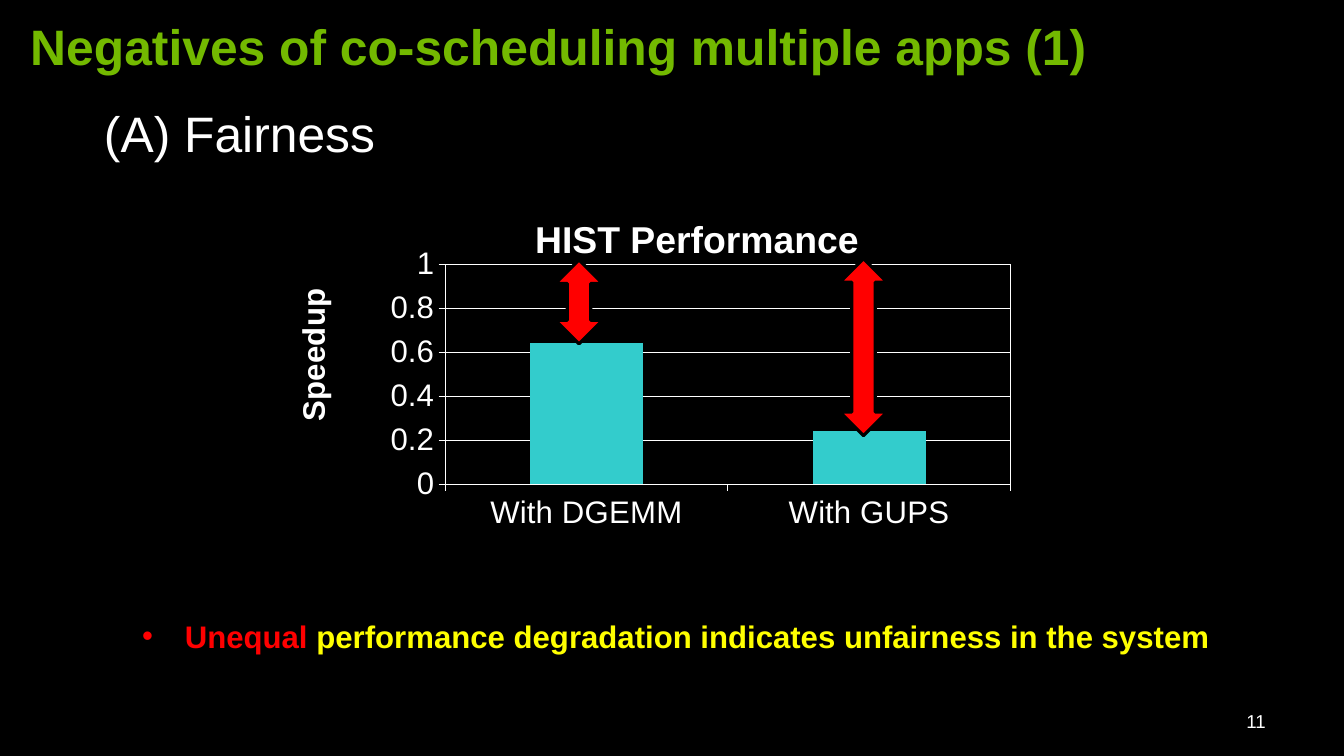
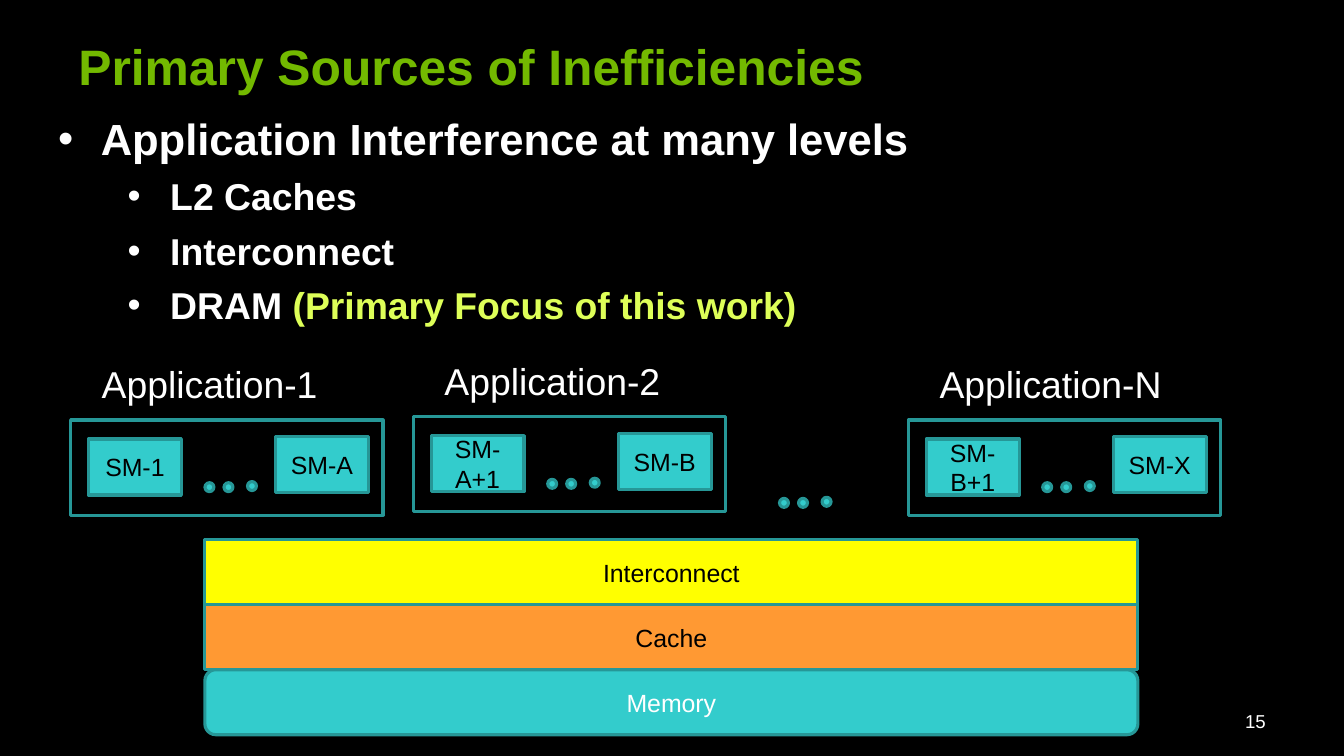
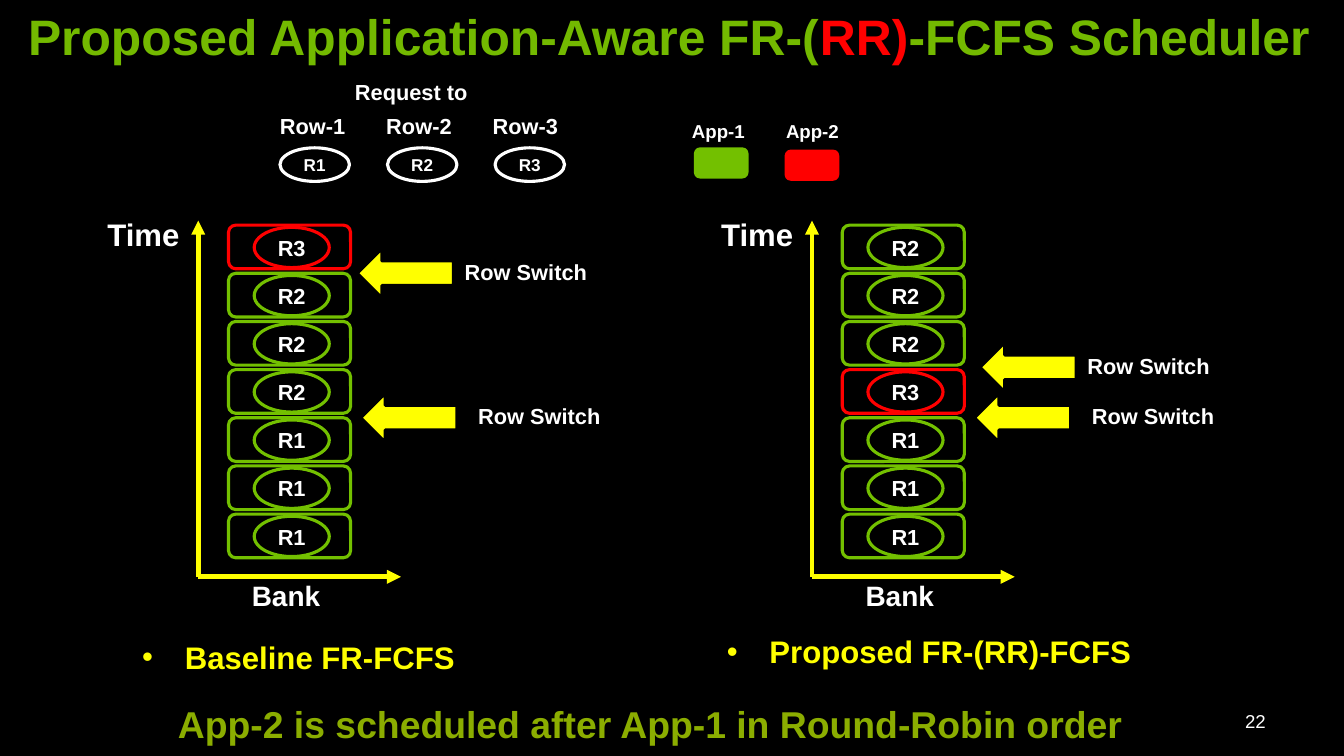
from lxml.etree import SubElement
from pptx import Presentation
from pptx.chart.data import CategoryChartData
from pptx.dml.color import RGBColor
from pptx.enum.chart import XL_CHART_TYPE, XL_TICK_MARK
from pptx.enum.shapes import MSO_CONNECTOR, MSO_SHAPE
from pptx.enum.text import MSO_ANCHOR, MSO_AUTO_SIZE, PP_ALIGN
from pptx.oxml.ns import qn
from pptx.util import Inches, Pt

# Shared style
FONT = "Arial"
BLACK, WHITE, RED, YELLOW = "000000", "FFFFFF", "FF0000", "FFFF00"
TITLE_GREEN, APP_GREEN, OLIVE, LIME = "73B900", "73C000", "8BAD00", "DEFF58"
TEAL, DARK_TEAL, ORANGE = "33CCCC", "269797", "FF9933"
TITLE_SIZE = 32
TITLE_AND_BODY, TWO_BODIES = 1, 3


def rgb(color):
    return RGBColor.from_string(color)


def paint(fill, color):
    if color:
        fill.solid()
        fill.fore_color.rgb = rgb(color)
    else:
        fill.background()


def add_runs(paragraph, runs, size, bold=False):
    for text, color in runs:
        run = paragraph.add_run()
        run.text = text
        run.font.name = FONT
        run.font.size = Pt(size)
        run.font.bold = bold
        run.font.color.rgb = rgb(color)


def move(shape, left, top, width, height):
    shape.left, shape.top = Inches(left), Inches(top)
    shape.width, shape.height = Inches(width), Inches(height)


def add_label(slide, box, text, size, color=WHITE, bold=False):
    label = slide.shapes.add_textbox(*map(Inches, box))
    label.text_frame.word_wrap = True
    add_runs(label.text_frame.paragraphs[0], [(text, color)], size, bold)
    return label


def add_figure(slide, preset, box, fill=None, line=DARK_TEAL, text="",
               size=16, color=BLACK, bold=False):
    figure = slide.shapes.add_shape(preset, *map(Inches, box))
    figure.shadow.inherit = False
    paint(figure.fill, fill)
    figure.line.color.rgb = rgb(line)
    figure.line.width = Pt(2)
    if text:
        frame = figure.text_frame
        frame.word_wrap = preset != MSO_SHAPE.OVAL
        frame.vertical_anchor = MSO_ANCHOR.MIDDLE
        frame.paragraphs[0].alignment = PP_ALIGN.CENTER
        add_runs(frame.paragraphs[0], [(text, color)], size, bold)


def add_title(slide, box, runs):
    title = slide.shapes.title
    move(title, *box)
    frame = title.text_frame
    frame.auto_size = MSO_AUTO_SIZE.NONE
    frame.vertical_anchor = MSO_ANCHOR.TOP
    frame.paragraphs[0].alignment = PP_ALIGN.LEFT
    add_runs(frame.paragraphs[0], runs, TITLE_SIZE, bold=True)


def add_bullets(body, box, items):
    """Fill a body placeholder with items of (level, size, runs)."""
    move(body, *box)
    frame = body.text_frame
    frame.auto_size = MSO_AUTO_SIZE.NONE
    frame.vertical_anchor = MSO_ANCHOR.TOP
    for index, (level, size, runs) in enumerate(items):
        paragraph = frame.add_paragraph() if index else frame.paragraphs[0]
        paragraph.level = level
        paragraph.space_before = Pt(round(0.24 * size) if index else 0)
        properties = paragraph._p.get_or_add_pPr()
        properties.set("marL", str(Inches(1 if level else 0.38)))
        properties.set("indent", str(Inches(-0.38)))
        SubElement(properties, qn("a:buFont")).set("typeface", FONT)
        SubElement(properties, qn("a:buChar")).set("char", "•")
        add_runs(paragraph, runs, size, bold=True)


def add_page_number(slide, number):
    label = add_label(slide, (8.6, 6.26, 2.8, 0.36), number, 12)
    label.text_frame.vertical_anchor = MSO_ANCHOR.MIDDLE
    label.text_frame.paragraphs[0].alignment = PP_ALIGN.RIGHT


def new_slide(deck, layout, title_box, title_runs, number):
    slide = deck.slides.add_slide(deck.slide_layouts[layout])
    add_title(slide, title_box, title_runs)
    add_page_number(slide, number)
    return slide


# Slide 11: fairness
def set_layout(element, position, **values):
    """Place a chart part by fractions of the chart's size."""
    for old in element.findall(qn("c:layout")):
        element.remove(old)
    layout = SubElement(element, qn("c:layout"))
    element.insert(position, layout)
    manual = SubElement(layout, qn("c:manualLayout"))
    if "w" in values:
        SubElement(manual, qn("c:layoutTarget")).set("val", "inner")
    for key in ("x", "y"):
        SubElement(manual, qn(f"c:{key}Mode")).set("val", "edge")
    for key, value in values.items():
        SubElement(manual, qn(f"c:{key}")).set("val", str(value))


def performance_chart(slide, box):
    data = CategoryChartData()
    data.categories = ["With DGEMM", "With GUPS"]
    data.add_series("HIST Performance", [0.64, 0.24])
    chart = slide.shapes.add_chart(
        XL_CHART_TYPE.COLUMN_CLUSTERED, *map(Inches, box), data).chart
    chart.has_legend = False
    chart.font.name, chart.font.size = FONT, Pt(20)
    chart.font.color.rgb = rgb(WHITE)

    plot = chart.plots[0]
    plot.gap_width = 150
    plot.vary_by_categories = False
    paint(plot.series[0].format.fill, TEAL)

    speedup, workloads = chart.value_axis, chart.category_axis
    speedup.minimum_scale, speedup.maximum_scale = 0, 1
    speedup.major_unit = 0.2
    speedup.has_major_gridlines = True
    for axis in (speedup, workloads):
        axis.major_tick_mark = XL_TICK_MARK.OUTSIDE
        axis.format.line.color.rgb = rgb(WHITE)
    speedup.major_gridlines.format.line.color.rgb = rgb(WHITE)

    titles = [(chart.chart_title, "HIST Performance", 24, 0.4, 0.09),
              (speedup.axis_title, "Speedup", 20, 0.11, 0.29)]
    for title, text, size, x, y in titles:
        add_runs(title.text_frame.paragraphs[0], [(text, WHITE)], size, True)
        set_layout(title._element, 1, x=x, y=y)
    turned = speedup.axis_title._element.find(".//" + qn("a:bodyPr"))
    turned.set("rot", "-5400000")
    turned.set("vert", "horz")

    # Plot frame
    area = chart._chartSpace.find(".//" + qn("c:plotArea"))
    set_layout(area, 0, x=0.3, y=0.24, w=0.68, h=0.59)
    frame = SubElement(SubElement(area, qn("c:spPr")), qn("a:ln"))
    frame_fill = SubElement(frame, qn("a:solidFill"))
    SubElement(frame_fill, qn("a:srgbClr")).set("val", WHITE)


def fairness_slide(deck):
    slide = new_slide(
        deck, TITLE_AND_BODY, (0.17, 0.09, 10.58, 0.64),
        [("Negatives of co-scheduling multiple apps (1)", TITLE_GREEN)], "11")
    add_bullets(slide.placeholders[1], (1.17, 5.46, 10.33, 0.71), [
        (0, 20, [("Unequal", RED),
                 (" performance degradation indicates unfairness in the system",
                  YELLOW)])])
    add_label(slide, (0.83, 0.87, 5.42, 0.64), "(A) Fairness", 32)
    performance_chart(slide, (1.75, 1.56, 7.42, 3.33))
    for left, top, height in [(7.5, 2.31, 1.58), (4.96, 2.32, 0.75)]:
        add_figure(slide, MSO_SHAPE.UP_DOWN_ARROW, (left, top, 0.42, height),
                   RED, BLACK)


# Slide 15: sources of inefficiency
def ellipsis_dots(slide, left, top):
    for dx, dy in [(0, 0.01), (0.17, 0.01), (0.38, 0)]:
        add_figure(slide, MSO_SHAPE.OVAL, (left + dx, top + dy, 0.08, 0.08), TEAL)


def application_group(slide, left, top, name, first_sm, last_sm):
    for text, dx, dy in [(first_sm, 0.16, 0.17), (last_sm, 1.83, 0.15)]:
        add_figure(slide, MSO_SHAPE.RECTANGLE,
                   (left + dx, top + dy, 0.83, 0.5), TEAL, text=text)
    add_figure(slide, MSO_SHAPE.RECTANGLE, (left, top, 2.79, 0.85))
    add_label(slide, (left + 0.18, top - 0.57, 3.71, 0.5), name, 24)
    ellipsis_dots(slide, left + 1.2, top + 0.55)


def memory_stack(slide, left, top, width):
    layers = [("Interconnect", MSO_SHAPE.RECTANGLE, YELLOW, BLACK),
              ("Cache", MSO_SHAPE.RECTANGLE, ORANGE, BLACK),
              ("Memory", MSO_SHAPE.ROUNDED_RECTANGLE, TEAL, WHITE)]
    height = 0.58
    for row, (text, preset, fill, color) in enumerate(layers):
        add_figure(slide, preset, (left, top + row * height, width, height),
                   fill, text=text, color=color)


def inefficiency_slide(deck):
    slide = new_slide(
        deck, TITLE_AND_BODY, (0.6, 0.27, 10.07, 0.64),
        [("Primary Sources of Inefficiencies", TITLE_GREEN)], "15")
    add_bullets(slide.placeholders[1], (0.42, 0.95, 10.98, 1.8), [
        (0, 28, [("Application Interference at many levels", WHITE)]),
        (1, 24, [("L2 Caches", WHITE)]),
        (1, 24, [("Interconnect", WHITE)]),
        (1, 24, [("DRAM ", WHITE), ("(Primary Focus of this work)", LIME)])])
    application_group(slide, 0.63, 3.75, "Application-1", "SM-1", "SM-A")
    application_group(slide, 3.69, 3.72, "Application-2", "SM-A+1", "SM-B")
    application_group(slide, 8.11, 3.75, "Application-N", "SM-B+1", "SM-X")
    ellipsis_dots(slide, 6.96, 4.44)
    memory_stack(slide, 1.83, 4.82, 8.33)


# Slide 22: scheduler
def add_axis(slide, start, end):
    axis = slide.shapes.add_connector(
        MSO_CONNECTOR.STRAIGHT, *map(Inches, start + end))
    axis.line.color.rgb = rgb(YELLOW)
    axis.line.width = Pt(3)
    properties = axis._element.spPr
    SubElement(properties.find(qn("a:ln")), qn("a:tailEnd")).set("type", "triangle")
    SubElement(properties, qn("a:effectLst"))


def request_legend(slide, left, top):
    add_label(slide, (left + 0.67, top, 1.71, 0.34), "Request to", 14, bold=True)
    for index in range(3):
        add_label(slide, (left + 0.95 * index, top + 0.31, 1.09, 0.34),
                  f"Row-{index + 1}", 14, bold=True)
        add_figure(slide, MSO_SHAPE.OVAL,
                   (left + 0.1 + 0.96 * index, top + 0.67, 0.62, 0.3),
                   line=WHITE, text=f"R{index + 1}", size=11, color=WHITE,
                   bold=True)


def app_legend(slide, left, top):
    for index, color in enumerate((APP_GREEN, RED)):
        add_label(slide, (left + 0.84 * index, top, 1.4, 0.3),
                  f"App-{index + 1}", 12, bold=True)
        add_figure(slide, MSO_SHAPE.ROUNDED_RECTANGLE,
                   (left + 0.13 + 0.81 * index, top + 0.31 + 0.02 * index,
                    0.46, 0.25), color, color)


def bank_queue(slide, left, top, requests, switches):
    """Draw requests from the top down; switches are (arrow, top, label) offsets."""
    origin = (left + 0.91, top + 3.28)
    add_axis(slide, origin, (left + 0.91, top + 0.1))
    add_axis(slide, origin, (left + 2.72, top + 3.28))
    add_label(slide, (left, top, 0.92, 0.44), "Time", 20, bold=True)
    add_label(slide, (left + 1.29, top + 3.25, 1.2, 0.4), "Bank", 18, bold=True)
    for index, request in enumerate(requests):
        color = RED if request == "R3" else APP_GREEN
        row_top = top + 0.14 + 0.43 * index
        add_figure(slide, MSO_SHAPE.ROUNDED_RECTANGLE,
                   (left + 1.18, row_top, 1.09, 0.39), line=color)
        add_figure(slide, MSO_SHAPE.OVAL,
                   (left + 1.41, row_top + 0.02, 0.67, 0.36), line=color,
                   text=request, size=14, color=WHITE, bold=True)
    for arrow_dx, dy, label_dx in switches:
        add_figure(slide, MSO_SHAPE.LEFT_ARROW,
                   (left + arrow_dx, top + dy, 0.86, 0.44), YELLOW, BLACK)
        add_label(slide, (left + label_dx, top + dy + 0.04, 1.71, 0.34),
                  "Row Switch", 14, bold=True)


def scheduler_slide(deck):
    slide = new_slide(
        deck, TWO_BODIES, (0.15, 0, 11.85, 1.18),
        [("Proposed Application-Aware FR-(", TITLE_GREEN), ("RR)", RED),
         ("-FCFS Scheduler", TITLE_GREEN)], "22")
    request_legend(slide, 2.4, 0.65)
    app_legend(slide, 6.08, 1.02)
    bank_queue(slide, 0.86, 1.87, ["R3", "R2", "R2", "R2", "R1", "R1", "R1"],
               [(2.33, 0.35, 3.19), (2.36, 1.64, 3.31)])
    bank_queue(slide, 6.34, 1.87, ["R2", "R2", "R2", "R3", "R1", "R1", "R1"],
               [(2.41, 1.19, 3.27), (2.36, 1.64, 3.31)])
    add_label(slide, (1.49, 6.21, 9.99, 0.5),
              "App-2 is scheduled after App-1 in Round-Robin order", 24,
              OLIVE, bold=True)
    captions = [(1, 1.17, 5.65, "Baseline FR-FCFS"),
                (2, 6.39, 5.6, "Proposed FR-(RR)-FCFS")]
    for index, left, top, text in captions:
        add_bullets(slide.placeholders[index], (left, top, 3.92, 0.56),
                    [(0, 20, [(text, YELLOW)])])


def main():
    deck = Presentation()
    deck.slide_width, deck.slide_height = Inches(12), Inches(6.75)
    paint(deck.slide_master.background.fill, BLACK)
    fairness_slide(deck)
    inefficiency_slide(deck)
    scheduler_slide(deck)
    deck.save("out.pptx")


if __name__ == "__main__":
    main()
